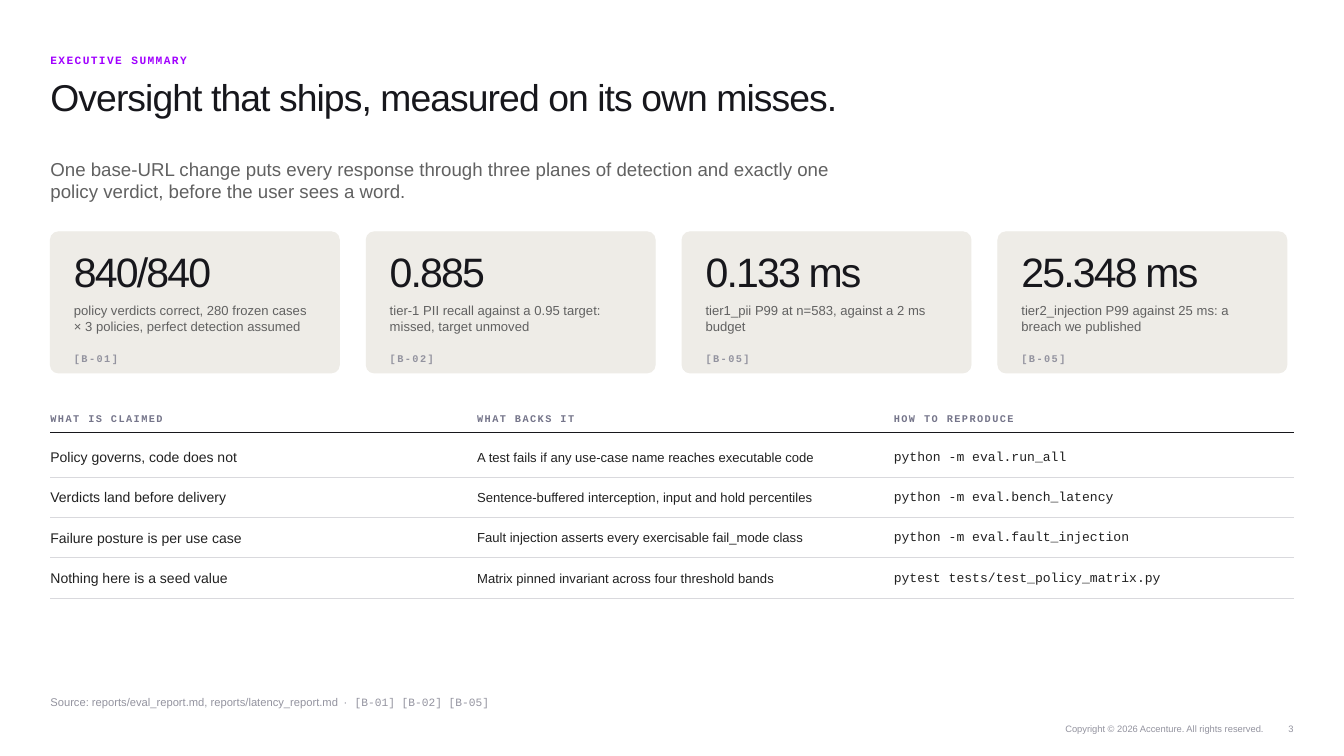
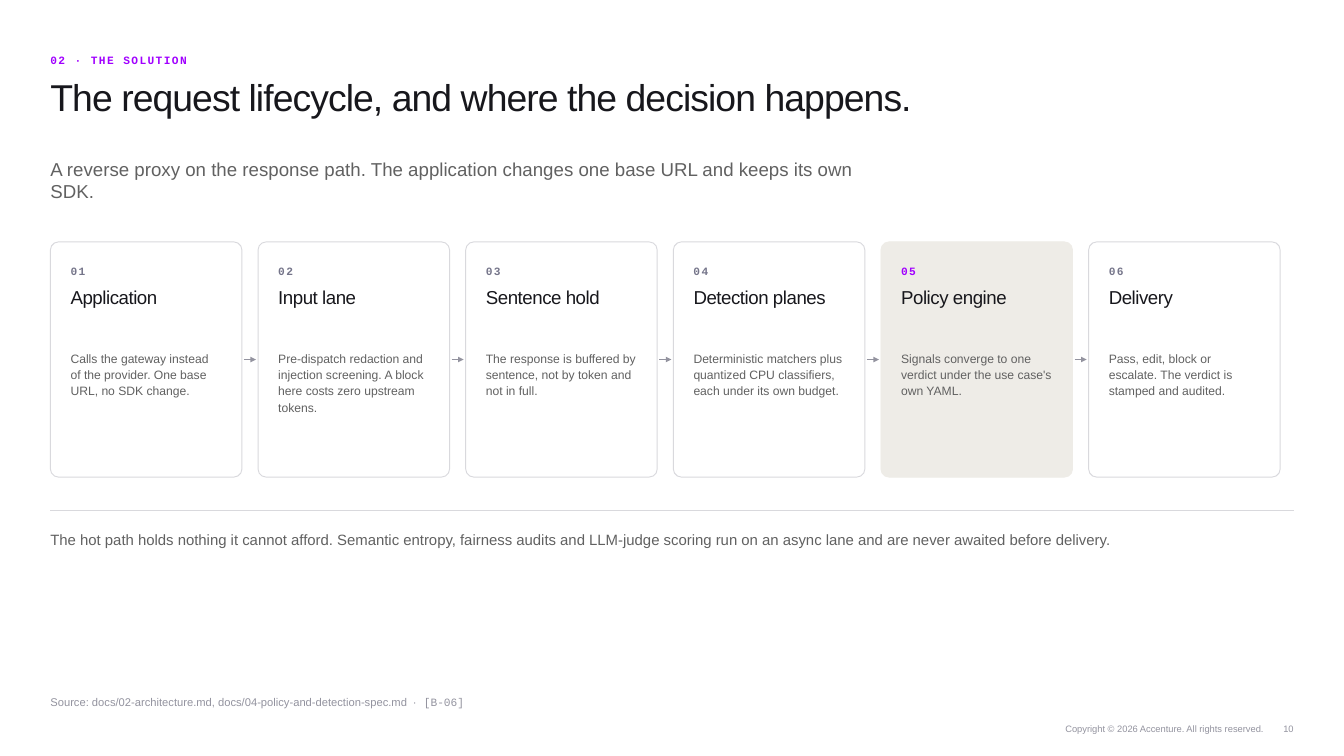
from lxml.etree import SubElement
from pptx import Presentation
from pptx.dml.color import RGBColor
from pptx.enum.shapes import MSO_CONNECTOR, MSO_SHAPE
from pptx.enum.text import MSO_ANCHOR, PP_ALIGN
from pptx.oxml.ns import qn
from pptx.util import Pt

PX = 9144
PURPLE = RGBColor(0xA1, 0x00, 0xFF)
INK = RGBColor(0x17, 0x17, 0x1C)
BODY = RGBColor(0x21, 0x21, 0x21)
GREY = RGBColor(0x61, 0x61, 0x61)
SLATE = RGBColor(0x75, 0x75, 0x8A)
MUTED = RGBColor(0x93, 0x93, 0x9F)
RULE = RGBColor(0xD9, 0xD9, 0xDD)
STONE = RGBColor(0xEE, 0xEC, 0xE7)
WHITE = RGBColor(0xFF, 0xFF, 0xFF)
SANS = "Arial"
MONO = "Courier New"
LEFT, RIGHT = 75, 1925
NO_TABLE_STYLE = "{2D5ABB26-0587-4C30-8999-92F81FD0307C}"


def write(text, slide=None, box=None, frame=None, size=14, color=GREY, font=SANS, bold=False,
          spacing=0, middle=False, align=PP_ALIGN.LEFT, line_spacing=None):
    if frame is None:
        frame = slide.shapes.add_textbox(*(value * PX for value in box)).text_frame
        frame.word_wrap = True
        frame.margin_left = frame.margin_right = frame.margin_top = frame.margin_bottom = 0
        frame.vertical_anchor = MSO_ANCHOR.MIDDLE if middle else MSO_ANCHOR.TOP
    paragraph = frame.paragraphs[0]
    paragraph.alignment = align
    if line_spacing:
        paragraph.line_spacing = line_spacing
    run = paragraph.add_run()
    run.text = text
    run.font.name = font
    run.font.size = Pt(size)
    run.font.bold = bold
    run.font.color.rgb = color
    if spacing:
        run.font._element.set("spc", str(round(spacing * 100)))
    return frame


def add_card(slide, box, radius, fill, outline):
    shape = slide.shapes.add_shape(MSO_SHAPE.ROUNDED_RECTANGLE, *(value * PX for value in box))
    shape.shadow.inherit = False
    shape.adjustments[0] = radius
    shape.fill.solid()
    shape.fill.fore_color.rgb = fill
    shape.line.color.rgb = outline
    shape.line.width = Pt(1)


presentation = Presentation()
presentation.slide_width = 2000 * PX
presentation.slide_height = 1125 * PX

pages = [
    ("EXECUTIVE SUMMARY", "Oversight that ships, measured on its own misses.",
     "One base-URL change puts every response through three planes of detection and exactly one "
     "policy verdict, before the user sees a word.",
     "Source: reports/eval_report.md, reports/latency_report.md", "[B-01] [B-02] [B-05]", "3"),
    ("02 · THE SOLUTION", "The request lifecycle, and where the decision happens.",
     "A reverse proxy on the response path. The application changes one base URL and keeps its own SDK.",
     "Source: docs/02-architecture.md, docs/04-policy-and-detection-spec.md", "[B-06]", "10"),
]
slides = []
for kicker, title, lede, source, references, number in pages:
    slide = presentation.slides.add_slide(presentation.slide_layouts[6])
    slide.background.fill.solid()
    slide.background.fill.fore_color.rgb = WHITE
    write(kicker, slide, (LEFT, 75, 1200, 30), size=12, color=PURPLE, font=MONO, bold=True,
          spacing=1.5, middle=True)
    write(title, slide, (LEFT, 110, 1400, 110), size=40, color=INK, spacing=-1)
    write(lede, slide, (LEFT, 235, 1200, 80), size=20)
    source_frame = write(source, slide, (LEFT, 1030, 1700, 30), size=12, color=MUTED, middle=True)
    write(" · ", frame=source_frame, size=12, color=MUTED, spacing=2.2)
    write(references, frame=source_frame, size=12, color=MUTED, font=MONO)
    write("Copyright © 2026 Accenture. All rights reserved.", slide, (1320, 1070, 560, 30),
          size=10, color=MUTED, middle=True, align=PP_ALIGN.RIGHT)
    write(number, slide, (1890, 1070, 35, 30), size=10, color=MUTED, middle=True, align=PP_ALIGN.RIGHT)
    slides.append(slide)
summary, lifecycle = slides

metrics = [
    ("840/840", "policy verdicts correct, 280 frozen cases × 3 policies, perfect detection assumed", "[B-01]"),
    ("0.885", "tier-1 PII recall against a 0.95 target: missed, target unmoved", "[B-02]"),
    ("0.133 ms", "tier1_pii P99 at n=583, against a 2 ms budget", "[B-05]"),
    ("25.348 ms", "tier2_injection P99 against 25 ms: a breach we published", "[B-05]"),
]
for index, (value, meaning, reference) in enumerate(metrics):
    left = LEFT + index * 470
    add_card(summary, (left, 345, 430, 210), 0.057, STONE, STONE)
    write(value, summary, (left + 35, 367, 360, 85), size=44, color=INK, spacing=-2)
    write(meaning, summary, (left + 35, 450, 360, 66))
    write(reference, summary, (left + 35, 519, 360, 28), size=11, color=MUTED, font=MONO, bold=True,
          spacing=1.5, middle=True)

claims = [
    ("WHAT IS CLAIMED", "WHAT BACKS IT", "HOW TO REPRODUCE"),
    ("Policy governs, code does not", "A test fails if any use-case name reaches executable code",
     "python -m eval.run_all"),
    ("Verdicts land before delivery", "Sentence-buffered interception, input and hold percentiles",
     "python -m eval.bench_latency"),
    ("Failure posture is per use case", "Fault injection asserts every exercisable fail_mode class",
     "python -m eval.fault_injection"),
    ("Nothing here is a seed value", "Matrix pinned invariant across four threshold bands",
     "pytest tests/test_policy_matrix.py"),
]
table_top = 605
column_widths = [635, 620, 595]
row_heights = [38, 67, 60, 60, 60]
top_margins = [0, 9, 2, 2, 2]
header_format = dict(size=11, color=SLATE, font=MONO, bold=True, spacing=1.5)
column_formats = [dict(size=15, color=BODY), dict(color=BODY), dict(color=BODY, font=MONO)]
table_frame = summary.shapes.add_table(len(row_heights), len(column_widths), LEFT * PX, table_top * PX,
                                       sum(column_widths) * PX, sum(row_heights) * PX)
table = table_frame.table
table.horz_banding = False
for style in table_frame.element.iter(qn("a:tableStyleId")):
    style.text = NO_TABLE_STYLE
for column, width in zip(table.columns, column_widths):
    column.width = width * PX
lines = []
row_bottom = table_top
for row_index, height in enumerate(row_heights):
    table.rows[row_index].height = height * PX
    row_bottom += height
    lines.append((summary, LEFT, RIGHT, row_bottom, RULE if row_index else INK, 0.75, False))
    for column_index, text in enumerate(claims[row_index]):
        cell = table.cell(row_index, column_index)
        cell.margin_left = cell.margin_right = cell.margin_bottom = 0
        cell.margin_top = top_margins[row_index] * PX
        cell.vertical_anchor = MSO_ANCHOR.MIDDLE
        cell.fill.background()
        write(text, frame=cell.text_frame,
              **(column_formats[column_index] if row_index else header_format))

steps = [
    ("Application", "Calls the gateway instead of the provider. One base URL, no SDK change."),
    ("Input lane", "Pre-dispatch redaction and injection screening. A block here costs zero upstream tokens."),
    ("Sentence hold", "The response is buffered by sentence, not by token and not in full."),
    ("Detection planes", "Deterministic matchers plus quantized CPU classifiers, each under its own budget."),
    ("Policy engine", "Signals converge to one verdict under the use case's own YAML."),
    ("Delivery", "Pass, edit, block or escalate. The verdict is stamped and audited."),
]
step_width, step_pitch = 285, 309
for index, (name, detail) in enumerate(steps):
    left = LEFT + index * step_pitch
    decides = name == "Policy engine"
    add_card(lifecycle, (left, 360, step_width, 350), 0.042,
             STONE if decides else WHITE, STONE if decides else RULE)
    write(f"{index + 1:02}", lifecycle, (left + 30, 386, 120, 34), size=12,
          color=PURPLE if decides else SLATE, font=MONO, bold=True, spacing=1.5, middle=True)
    write(name, lifecycle, (left + 30, 426, 225, 90), size=20, color=INK, spacing=-0.5)
    write(detail, lifecycle, (left + 30, 520, 225, 160), size=13, line_spacing=1.12)
    if index < len(steps) - 1:
        lines.append((lifecycle, left + step_width + 3, left + step_pitch - 3, 535, MUTED, 1, True))
lines.append((lifecycle, LEFT, RIGHT, 760, RULE, 0.75, False))

for slide, start, end, top, color, width, arrow in lines:
    connector = slide.shapes.add_connector(MSO_CONNECTOR.STRAIGHT, start * PX, top * PX,
                                           end * PX, top * PX)
    connector.line.color.rgb = color
    connector.line.width = Pt(width)
    properties = connector.element.spPr
    if arrow:
        SubElement(properties.find(qn("a:ln")), qn("a:tailEnd"), type="triangle")
    SubElement(properties, qn("a:effectLst"))

write("The hot path holds nothing it cannot afford. Semantic entropy, fairness audits and LLM-judge "
      "scoring run on an async lane and are never awaited before delivery.",
      lifecycle, (LEFT, 785, 1650, 100), size=16, line_spacing=1.15)

presentation.save("out.pptx")
